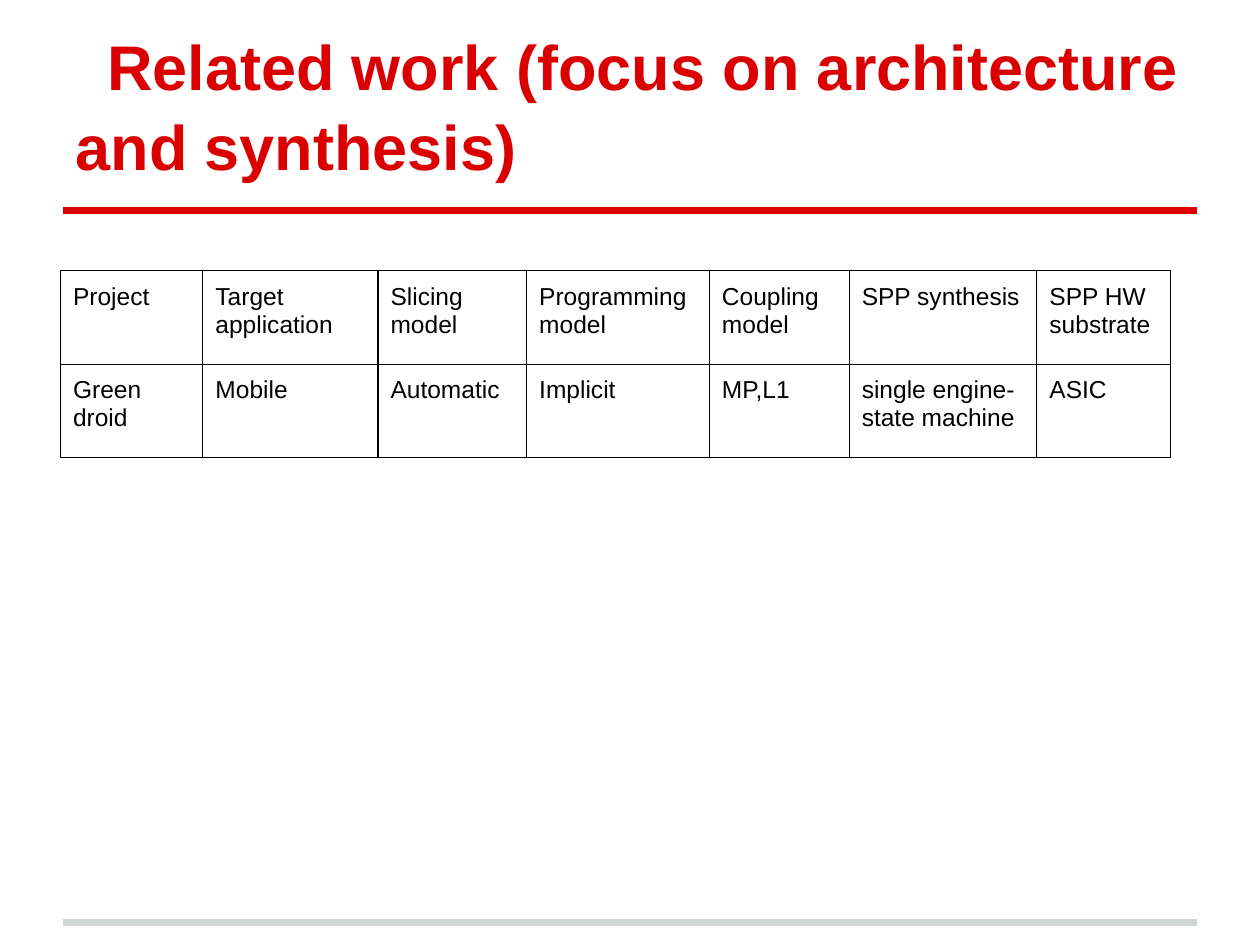
from dataclasses import dataclass

from lxml.etree import SubElement
from pptx import Presentation
from pptx.dml.color import RGBColor
from pptx.enum.shapes import MSO_CONNECTOR
from pptx.enum.text import MSO_ANCHOR, MSO_AUTO_SIZE, PP_ALIGN
from pptx.oxml.ns import qn
from pptx.slide import Slide
from pptx.table import _Cell
from pptx.util import Inches, Pt


@dataclass(frozen=True)
class Theme:
    font: str = "Arial"
    red: str = "DA0002"
    gray: str = "CFD4D4"
    ink: str = "000000"
    head: int = 36
    body: int = 14
    rule: int = 4
    edge: float = 0.75
    pad: float = 0.1


@dataclass(frozen=True)
class Rule:
    y: float
    color: str


@dataclass(frozen=True)
class Column:
    width: float
    head: str
    value: str


THEME = Theme()
RULES = [Rule(7.32, THEME.gray), Rule(1.67, THEME.red)]
COLUMNS = [
    Column(1.13, "Project", "Green droid"),
    Column(1.39, "Target application", "Mobile"),
    Column(1.18, "Slicing model", "Automatic"),
    Column(1.45, "Programming model", "Implicit"),
    Column(1.11, "Coupling model", "MP,L1"),
    Column(1.49, "SPP synthesis", "single engine- state machine"),
    Column(1.06, "SPP HW substrate", "ASIC"),
]
ROW = 0.74


def set_font(font, size: int, color: str, bold: bool = False) -> None:
    font.name = THEME.font
    font.size = Pt(size)
    font.bold = bold
    font.color.rgb = RGBColor.from_string(color)


def set_pad(box) -> None:
    box.margin_left = box.margin_right = Inches(THEME.pad)
    box.margin_top = box.margin_bottom = Inches(THEME.pad)


def draw_rule(slide: Slide, rule: Rule) -> None:
    y = Inches(rule.y)
    line = slide.shapes.add_connector(
        MSO_CONNECTOR.STRAIGHT, Inches(0.5), y, Inches(9.5), y)
    line.line.color.rgb = RGBColor.from_string(rule.color)
    line.line.width = Pt(THEME.rule)
    SubElement(line._element.spPr, qn("a:effectLst"))


def draw_title(slide: Slide, text: str) -> None:
    title = slide.shapes.title
    title.left, title.top = Inches(0.5), Inches(0.3)
    title.width, title.height = Inches(9), Inches(1.25)
    frame = title.text_frame
    frame.text = text
    frame.word_wrap = True
    frame.auto_size = MSO_AUTO_SIZE.SHAPE_TO_FIT_TEXT
    frame.vertical_anchor = MSO_ANCHOR.BOTTOM
    set_pad(frame)
    par = frame.paragraphs[0]
    par.alignment = PP_ALIGN.LEFT
    par.line_spacing = 1.05
    par._p.get_or_add_pPr().set("indent", str(Inches(0.25)))
    set_font(par.font, THEME.head, THEME.red, bold=True)


def draw_edges(cell: _Cell) -> None:
    props = cell._tc.get_or_add_tcPr()
    for i, side in enumerate(("lnL", "lnR", "lnT", "lnB")):
        edge = props.makeelement(qn(f"a:{side}"), {"w": str(Pt(THEME.edge))})
        fill = SubElement(edge, qn("a:solidFill"))
        SubElement(fill, qn("a:srgbClr"), val=THEME.ink)
        props.insert(i, edge)


def draw_cell(cell: _Cell, text: str) -> None:
    cell.text = text
    cell.fill.background()
    set_pad(cell)
    set_font(cell.text_frame.paragraphs[0].font, THEME.body, THEME.ink)
    draw_edges(cell)


def draw_table(slide: Slide, columns: list[Column]) -> None:
    width = sum(col.width for col in columns)
    table = slide.shapes.add_table(
        2, len(columns), Inches(0.48), Inches(2.15),
        Inches(width), Inches(2 * ROW)).table
    table.first_row = table.horz_banding = False
    for row in table.rows:
        row.height = Inches(ROW)
    for i, col in enumerate(columns):
        table.columns[i].width = Inches(col.width)
        draw_cell(table.cell(0, i), col.head)
        draw_cell(table.cell(1, i), col.value)


def main() -> None:
    deck = Presentation()
    deck.slide_width, deck.slide_height = Inches(10), Inches(7.5)
    slide = deck.slides.add_slide(deck.slide_layouts[5])

    # Rules above the footer and below the title
    for rule in RULES:
        draw_rule(slide, rule)

    # Title and comparison table
    draw_title(slide, "Related work (focus on architecture and synthesis)")
    draw_table(slide, COLUMNS)

    deck.save("out.pptx")


if __name__ == "__main__":
    main()
